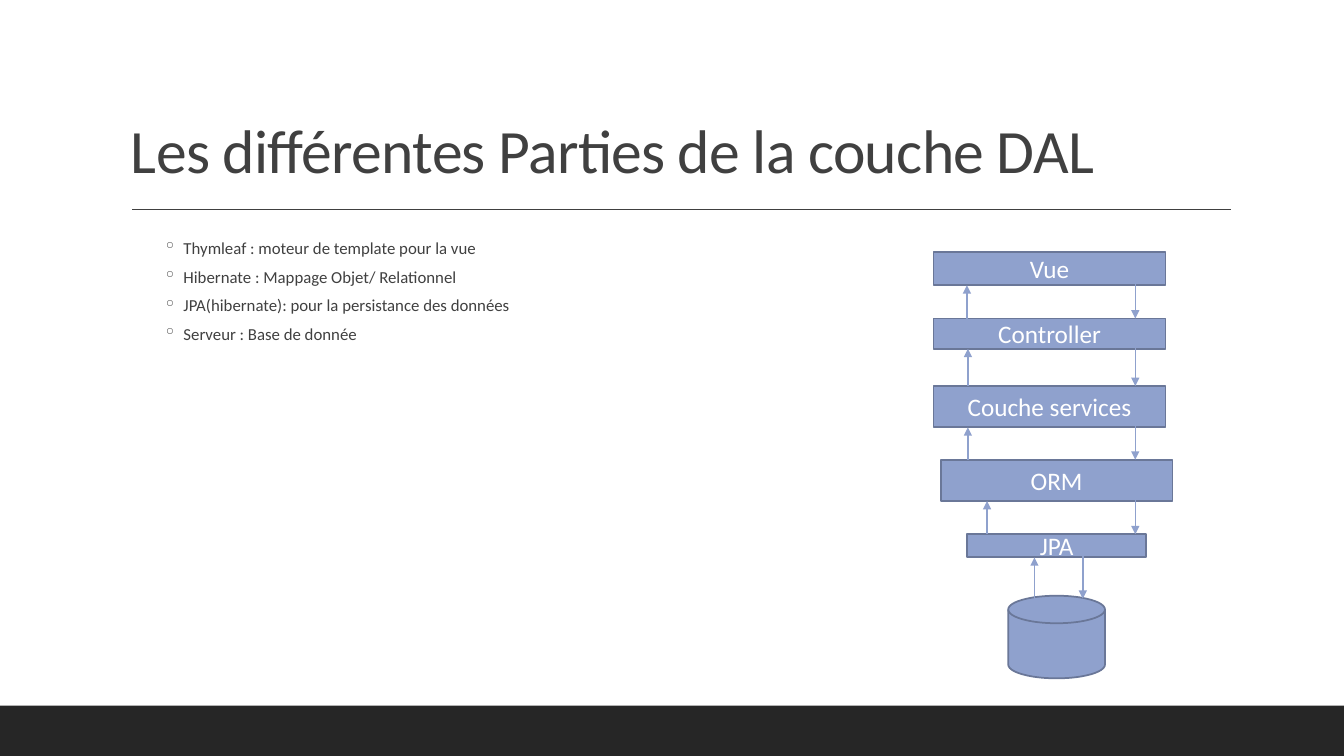
from collections import namedtuple
from dataclasses import dataclass

from lxml.etree import SubElement
from pptx import Presentation
from pptx.dml.color import RGBColor
from pptx.enum.shapes import MSO_CONNECTOR, MSO_SHAPE
from pptx.enum.text import MSO_ANCHOR, PP_ALIGN
from pptx.oxml.ns import qn
from pptx.util import Inches, Pt

Box = namedtuple("Box", "left top width height")
Layer = namedtuple("Layer", "name box")


@dataclass(frozen=True)
class Theme:
    """Colours, font and type sizes of the slide."""
    font: str = "Calibri"
    ink: RGBColor = RGBColor(0x40, 0x40, 0x40)
    footer: RGBColor = RGBColor(0x26, 0x26, 0x26)
    accent: RGBColor = RGBColor(0x8F, 0xA1, 0xCD)
    outline: RGBColor = RGBColor(0x6A, 0x77, 0x98)
    white: RGBColor = RGBColor(0xFF, 0xFF, 0xFF)
    title_size: Pt = Pt(44)
    list_size: Pt = Pt(12)
    layer_size: Pt = Pt(18)


THEME = Theme()
TITLE = "Les différentes Parties de la couche DAL"
TECHNOLOGIES = [
    "Thymleaf : moteur de template pour la vue",
    "Hibernate : Mappage Objet/ Relationnel",
    "JPA(hibernate): pour la persistance des données",
    "Serveur : Base de donnée",
]
LAYERS = [
    Layer("Vue", Box(0, 0, 2.3, 0.33)),
    Layer("Controller", Box(0, 0.66, 2.3, 0.3)),
    Layer("Couche services", Box(0, 1.33, 2.3, 0.41)),
    Layer("ORM", Box(0.07, 2.06, 2.3, 0.41)),
    Layer("JPA", Box(0.33, 2.8, 1.78, 0.23)),
]
DATABASE = Box(0.74, 3.41, 0.96, 0.82)
UP_ARROWS = [0.33, 0.34, 0.34, 0.53, 1.0]
DOWN_ARROWS = [2.0, 2.0, 2.0, 2.0, 1.48]
DOWN_LENGTH = 0.42


def style_text(paragraph, text, size, color):
    """Write text in a paragraph with the slide's font."""
    paragraph.text = text
    paragraph.font.name = THEME.font
    paragraph.font.size = size
    paragraph.font.color.rgb = color


def add_block(slide, kind, box, fill, outline=None):
    """Add a flat filled shape, outlined if a colour is given."""
    shape = slide.shapes.add_shape(kind, *map(Inches, box))
    shape.shadow.inherit = False
    shape.fill.solid()
    shape.fill.fore_color.rgb = fill
    if outline is None:
        shape.line.fill.background()
    else:
        shape.line.color.rgb = outline
        shape.line.width = Pt(1.25)
    return shape


def add_line(slide, start, end, color, arrow=False):
    """Add a straight line, with an arrowhead at its end if asked."""
    line = slide.shapes.add_connector(
        MSO_CONNECTOR.STRAIGHT, *map(Inches, (*start, *end)))
    line.line.color.rgb = color
    line.line.width = Pt(1)
    if arrow:
        SubElement(line.line._get_or_add_ln(), qn("a:tailEnd"), type="triangle")
    SubElement(line._element.spPr, qn("a:effectLst"))


def add_text_frame(slide, box):
    """Add a wrapping text box and return its text frame."""
    frame = slide.shapes.add_textbox(*map(Inches, box)).text_frame
    frame.word_wrap = True
    return frame


def add_title(slide, box):
    """Place the title at the foot of its box, with a rule below."""
    frame = add_text_frame(slide, box)
    frame.vertical_anchor = MSO_ANCHOR.BOTTOM
    paragraph = frame.paragraphs[0]
    style_text(paragraph, TITLE, THEME.title_size, THEME.ink)
    paragraph.line_spacing = 0.9
    paragraph.runs[0].font._element.set("spc", "-50")
    rule_top = box.top + box.height + 0.18
    add_line(slide, (box.left + 0.11, rule_top),
             (box.left + box.width + 0.01, rule_top), THEME.ink)


def add_technology_list(slide, box):
    """Place the bulleted list of technologies."""
    frame = add_text_frame(slide, box)
    frame.margin_left = frame.margin_right = 0
    for index, text in enumerate(TECHNOLOGIES):
        paragraph = frame.add_paragraph() if index else frame.paragraphs[0]
        style_text(paragraph, text, THEME.list_size, THEME.ink)
        paragraph.level = 1
        paragraph.space_before = Pt(2)
        paragraph.space_after = Pt(4)
        properties = paragraph._element.get_or_add_pPr()
        properties.set("marL", str(Inches(0.62)))
        properties.set("indent", str(Inches(-0.2)))
        bullet = properties.makeelement(qn("a:buChar"), {"char": "◦"})
        properties.find(qn("a:defRPr")).addprevious(bullet)


def add_layer_diagram(slide, box):
    """Stack the layers over the database and join neighbours both ways."""
    def place(part):
        return part._replace(left=box.left + part.left, top=box.top + part.top)

    database = place(DATABASE)
    add_block(slide, MSO_SHAPE.FLOWCHART_MAGNETIC_DISK, database,
              THEME.accent, THEME.outline)
    for layer in LAYERS:
        shape = add_block(slide, MSO_SHAPE.RECTANGLE, place(layer.box),
                          THEME.accent, THEME.outline)
        shape.text_frame.vertical_anchor = MSO_ANCHOR.MIDDLE
        paragraph = shape.text_frame.paragraphs[0]
        style_text(paragraph, layer.name, THEME.layer_size, THEME.white)
        paragraph.alignment = PP_ALIGN.CENTER

    stack = [place(layer.box) for layer in LAYERS] + [database]
    for upper, lower, up, down in zip(stack, stack[1:], UP_ARROWS, DOWN_ARROWS):
        upper_bottom = upper.top + upper.height
        dip = 0.03 if lower == database else 0
        up_left, down_left = box.left + up, box.left + down
        add_line(slide, (up_left, lower.top + dip), (up_left, upper_bottom),
                 THEME.accent, arrow=True)
        add_line(slide, (down_left, lower.top - DOWN_LENGTH),
                 (down_left, lower.top + dip), THEME.accent, arrow=True)


def main():
    """Build the slide and save it."""
    presentation = Presentation()
    presentation.slide_width = Inches(13.33)
    presentation.slide_height = Inches(7.5)
    slide = presentation.slides.add_slide(presentation.slide_layouts[6])
    add_block(slide, MSO_SHAPE.RECTANGLE, Box(0, 7, 13.33, 0.5), THEME.footer)
    add_title(slide, Box(1.2, 0.31, 11, 1.59))
    add_technology_list(slide, Box(1.2, 2.31, 11, 4.11))
    add_layer_diagram(slide, Box(9.26, 2.5, 2.37, 4.23))
    presentation.save("out.pptx")


if __name__ == "__main__":
    main()
